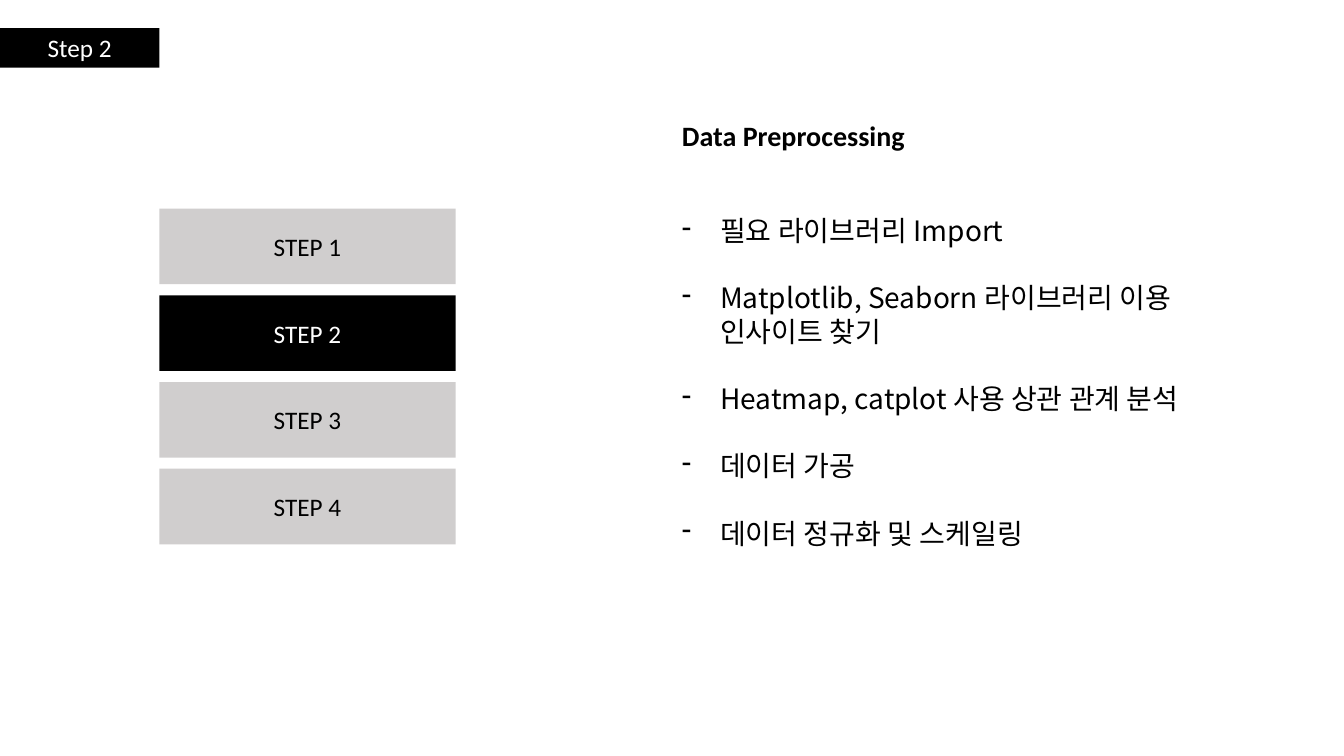
from lxml import etree
from pptx import Presentation
from pptx.dml.color import RGBColor
from pptx.enum.shapes import MSO_SHAPE
from pptx.enum.text import MSO_ANCHOR, PP_ALIGN
from pptx.oxml.ns import qn
from pptx.util import Inches, Pt

RECT = MSO_SHAPE.RECTANGLE
MIDDLE = MSO_ANCHOR.MIDDLE
LEFT, CENTER = PP_ALIGN.LEFT, PP_ALIGN.CENTER
BLACK, WHITE, GRAY = "000000", "FFFFFF", "D0CECE"
LATIN, KOREAN = "Calibri", "Noto Sans CJK KR"
WIDTH, HEIGHT = 13.33, 7.5
MARGIN = 1.58
HALF = WIDTH / 2
TOP = 2.07
PITCH = 0.86
STEPS = ["STEP 1", "STEP 2", "STEP 3", "STEP 4"]
ACTIVE = "STEP 2"
TASKS = [
    "필요 라이브러리 Import",
    "Matplotlib, Seaborn 라이브러리 이용 인사이트 찾기",
    "Heatmap, catplot 사용 상관 관계 분석",
    "데이터 가공",
    "데이터 정규화 및 스케일링",
]


def color(code):
    return RGBColor.from_string(code)


def style(par, size, ink, font=LATIN, bold=False, align=LEFT):
    par.alignment = align
    for run in par.runs:
        run.font.size = Pt(size)
        run.font.name = font
        run.font.bold = bold
        run.font.color.rgb = color(ink)
        east = etree.SubElement(run.font._element, qn("a:ea"))
        east.set("typeface", font)


def add_bar(slide, x, y, w, h, fill):
    bar = slide.shapes.add_shape(RECT, Inches(x), Inches(y), Inches(w), Inches(h))
    bar.shadow.inherit = False
    bar.fill.solid()
    bar.fill.fore_color.rgb = color(fill)
    bar.line.fill.background()
    return bar


def add_step(slide, row, name):
    fill, ink = (BLACK, WHITE) if name == ACTIVE else (GRAY, BLACK)
    bar = add_bar(slide, MARGIN, TOP + row * PITCH, 2.94, 0.75, fill)
    bar.text_frame.text = name
    bar.text_frame.vertical_anchor = MIDDLE
    style(bar.text_frame.paragraphs[0], 18, ink, align=CENTER)


def add_text(slide, x, y, w, h, text, wrap=True):
    box = slide.shapes.add_textbox(Inches(x), Inches(y), Inches(w), Inches(h))
    box.text_frame.word_wrap = wrap
    box.text_frame.text = text
    return box.text_frame.paragraphs


def add_dash(par):
    props = par._p.get_or_add_pPr()
    props.set("marL", str(Inches(0.38)))
    props.set("indent", str(-Inches(0.38)))
    etree.SubElement(props, qn("a:buChar")).set("char", "-")


def add_tasks(slide):
    for par in add_text(slide, HALF, TOP, 5.56, 3.47, "\n".join(TASKS)):
        style(par, 20, BLACK, KOREAN)
        par.line_spacing = Pt(24)
        par.space_after = Pt(24)
        add_dash(par)


def main():
    deck = Presentation()
    deck.slide_width, deck.slide_height = Inches(WIDTH), Inches(HEIGHT)
    slide = deck.slides.add_slide(deck.slide_layouts[6])
    add_bar(slide, 0, 0.28, MARGIN, 0.39, BLACK)
    for row, name in enumerate(STEPS):
        add_step(slide, row, name)
    add_tasks(slide)
    title = add_text(slide, HALF, 1.13, 2.61, 0.44, "Data Preprocessing", False)
    style(title[0], 20, BLACK, bold=True)
    tag = add_text(slide, 0, 0.27, MARGIN, 0.4, "Step 2")
    style(tag[0], 18, WHITE, align=CENTER)
    deck.save("out.pptx")


if __name__ == "__main__":
    main()
